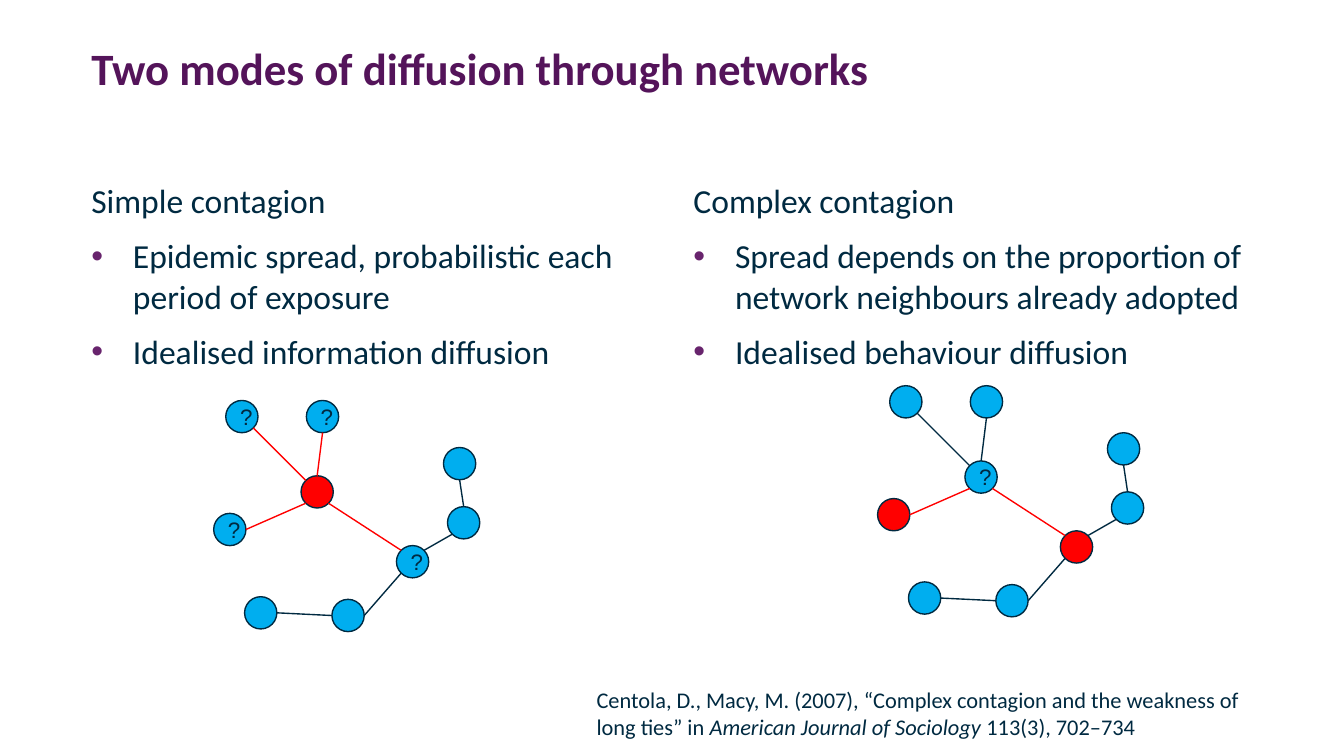
from math import cos, radians, sin

from lxml import etree
from pptx import Presentation
from pptx import util as u
from pptx.dml.color import RGBColor
from pptx.enum import shapes, text
from pptx.oxml.ns import qn

COLORS = {
    "title": "54145A", "ink": "002A41", "bullet": "68246D",
    "susceptible": "00AEEF", "infected": "FF0000",
}

# Page grid: two text columns
WIDTH, HEIGHT = 10, 5.625
MARGIN, COLUMN, PITCH = 0.68, 4.16, 4.48
BODY_TOP = 1.34
INDENT = 0.31
NODE = 0.24

# Node positions (left, top) from the network's own corner
NODES = {
    "north_west": (0.09, 0), "north": (0.69, 0), "west": (0, 0.84),
    "hub": (0.65, 0.56), "south_west": (0.23, 1.46), "east_top": (1.71, 0.35),
    "south": (0.88, 1.48), "east": (1.74, 0.79), "bridge": (1.36, 1.08),
}

# Ties: node and compass angle (clockwise from east) at each end
TIES = [
    ("north_west", 45, "hub", 225), ("south_west", 0, "south", 180),
    ("hub", 45, "bridge", 225), ("west", 0, "hub", 135),
    ("north", 90, "hub", 270), ("south", 0, "bridge", 135),
    ("bridge", 315, "east", 135), ("east_top", 90, "east", 270),
]

COLUMNS = [
    ("Simple contagion",
     "Epidemic spread, probabilistic each period of exposure",
     "Idealised information diffusion"),
    ("Complex contagion",
     "Spread depends on the proportion of network neighbours already adopted",
     "Idealised behaviour diffusion"),
]


def color(name):
    return RGBColor.from_string(COLORS[name])


def add_run(paragraph, words, size=18, font="Calibri", ink="ink", bold=False, italic=False):
    run = paragraph.add_run()
    run.text = words
    run.font.size = u.Pt(size)
    run.font.name = font
    run.font.color.rgb = color(ink)
    run.font.bold, run.font.italic = bold, italic


def add_bullet(paragraph):
    props = paragraph._p.get_or_add_pPr()
    props.set("marL", str(u.Inches(INDENT)))
    props.set("indent", str(-u.Inches(INDENT)))
    tint = etree.SubElement(props, qn("a:buClr"))
    etree.SubElement(tint, qn("a:srgbClr"), val=COLORS["bullet"])
    etree.SubElement(props, qn("a:buFont"), typeface="Arial")
    etree.SubElement(props, qn("a:buChar"), char="•")


def add_text_frame(slide, left, top, width, height, inset=0):
    box = slide.shapes.add_textbox(*map(u.Inches, (left, top, width, height)))
    frame = box.text_frame
    frame.word_wrap = True
    if inset == 0:
        frame.margin_left = frame.margin_right = frame.margin_top = frame.margin_bottom = 0
    return frame


def add_column(slide, index, heading, *points):
    frame = add_text_frame(slide, MARGIN + index * PITCH, BODY_TOP, COLUMN, 1.65)
    add_run(frame.paragraphs[0], heading)
    for point in points:
        paragraph = frame.add_paragraph()
        paragraph.space_before = u.Pt(8)
        add_bullet(paragraph)
        add_run(paragraph, point)


def add_node(slide, left, top, state, exposed):
    node = slide.shapes.add_shape(
        shapes.MSO_SHAPE.OVAL, *map(u.Inches, (left, top, NODE, NODE)))
    node.shadow.inherit = False
    node.fill.solid()
    node.fill.fore_color.rgb = color(state)
    node.line.color.rgb = color("ink")
    node.line.width = u.Pt(0.75)
    if exposed:
        node.text_frame.vertical_anchor = text.MSO_ANCHOR.MIDDLE
        question = node.text_frame.paragraphs[0]
        question.alignment = text.PP_ALIGN.CENTER
        add_run(question, "?", size=12, font="Arial")


def add_tie(slide, start, end, ink):
    tie = slide.shapes.add_connector(
        shapes.MSO_CONNECTOR.STRAIGHT, *map(u.Inches, (*start, *end)))
    tie.line.color.rgb = color(ink)
    tie.line.width = u.Pt(0.75)
    etree.SubElement(tie._element.spPr, qn("a:effectLst"))


def add_network(slide, left, top, infected, exposed):
    def rim(name, angle):
        x, y = NODES[name]
        radius = NODE / 2
        return (left + x + radius * (1 + cos(radians(angle))),
                top + y + radius * (1 + sin(radians(angle))))

    for name, (x, y) in NODES.items():
        state = "infected" if name in infected else "susceptible"
        add_node(slide, left + x, top + y, state, name in exposed)

    # A tie is red where an infected node meets an exposed one
    for first, angle, second, back in TIES:
        ends = {first, second}
        spreading = ends & infected and ends & exposed
        add_tie(slide, rim(first, angle), rim(second, back),
                "infected" if spreading else "ink")


def main():
    deck = Presentation()
    deck.slide_width, deck.slide_height = u.Inches(WIDTH), u.Inches(HEIGHT)
    slide = deck.slides.add_slide(deck.slide_layouts[6])

    # Title
    title = add_text_frame(slide, MARGIN, 0.3, WIDTH - 2 * MARGIN, 0.94)
    add_run(title.paragraphs[0], "Two modes of diffusion through networks",
            size=24, ink="title", bold=True)

    # Text columns
    for index, column in enumerate(COLUMNS):
        add_column(slide, index, *column)

    # Simple and complex contagion networks
    add_network(slide, 1.59, 2.98, {"hub"}, {"north_west", "north", "west", "bridge"})
    add_network(slide, 6.53, 2.87, {"west", "bridge"}, {"hub"})

    # Citation
    citation = add_text_frame(slide, 4.34, 5.06, 5.08, 0.5, inset=None).paragraphs[0]
    add_run(citation, "Centola, D., Macy, M. (2007), “Complex contagion and the "
            "weakness of long ties” in ", size=12)
    add_run(citation, "American Journal of Sociology", size=12, italic=True)
    add_run(citation, " 113(3), 702–734", size=12)

    deck.save("out.pptx")


if __name__ == "__main__":
    main()
